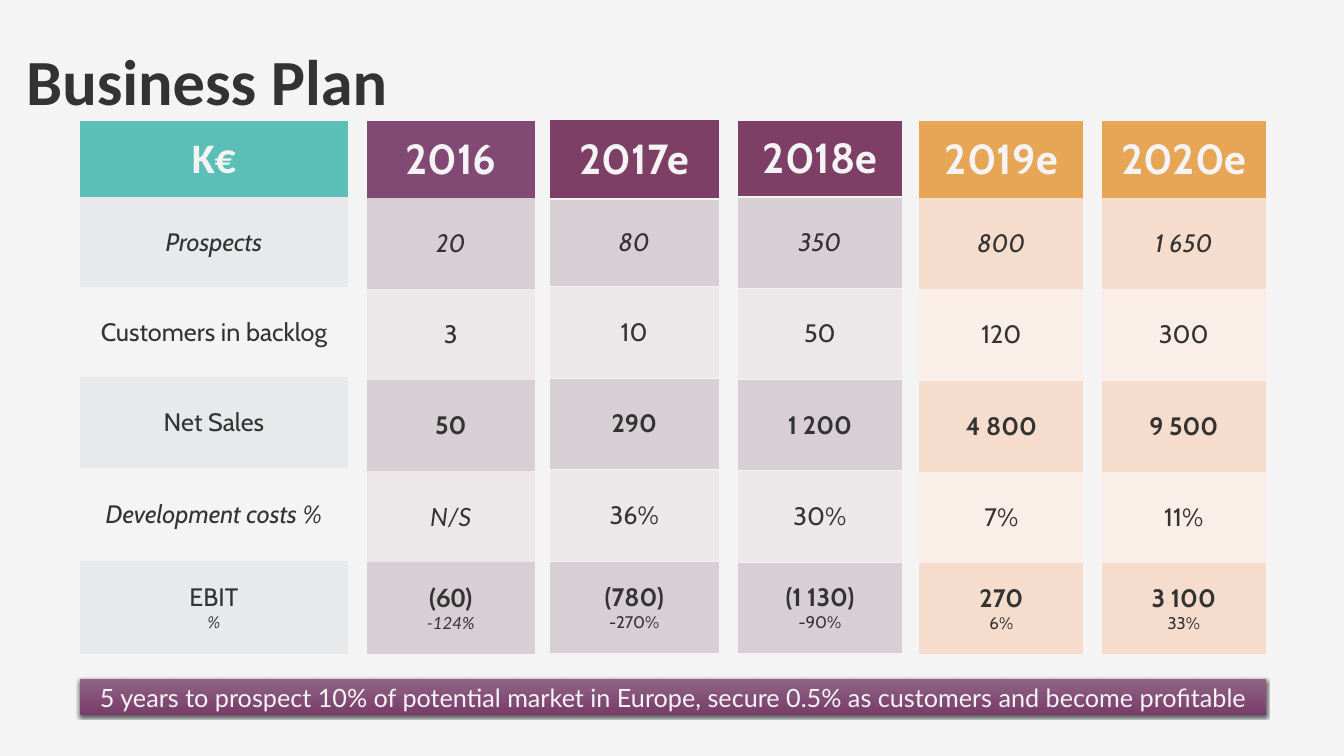
import pptx
import pptx.util
import pptx.dml.color
import pptx.enum.shapes
import pptx.enum.text
import pptx.oxml
import pptx.oxml.ns

COLORS = {
    "paper": "F4F4F4", "ink": "333333", "teal": "5BBFB7", "gray": "E8E9EA",
    "violet": "814974", "plum": "7D3F65", "mauve": "D7CFD3", "pale_mauve": "ECE8EA",
    "orange": "E7A556", "peach": "F5DCCD", "pale_peach": "FAEEE8",
    "bar_top": "906385", "bar_bottom": "783C6A",
}
TITLE = "Business Plan"
MESSAGE = ("5 years to prospect 10% of potential market in Europe, "
           "secure 0.5% as customers and become profitable")
NO_TABLE_STYLE = "{2D5ABB26-0587-4C30-8999-92F81FD0307C}"

# One style per paragraph of each body row: i = italic, b = bold
YEAR_STYLES = ["i", "", "b", "", "b", ""]
FIRST_YEAR_STYLES = ["i", "", "b", "i", "b", "i"]
LABEL_STYLES = ["i", "", "", "i", "", "i"]

# Each column is a table: heading, five rows and a small second line in the last row
COLUMNS = [
    {"texts": ["K€", "Prospects", "Customers in backlog", "Net Sales",
               "Development costs %", "EBIT", "%"],
     "left": 1.59, "top": 2.4, "width": 5.31, "heights": [1.51, 1.79, 1.79, 1.79, 1.85, 1.85],
     "fills": ("teal", "gray", "paper"), "styles": LABEL_STYLES, "heading_font": "Calibri"},
    {"texts": ["2016", "20", "3", "50", "N/S", "(60)", "-124%"],
     "left": 7.28, "top": 2.4, "width": 3.33, "heights": [1.52] + [1.81] * 5,
     "fills": ("violet", "mauve", "pale_mauve"), "styles": FIRST_YEAR_STYLES, "lato_from": 4},
    {"texts": ["2017e", "80", "10", "290", "36%", "(780)", "-270%"],
     "left": 10.9, "top": 2.36, "width": 3.37, "heights": [1.59, 1.73] + [1.82] * 4,
     "fills": ("plum", "mauve", "pale_mauve"), "bordered": True},
    {"texts": ["2018e", "350", "50", "1 200", "30%", "(1 130)", "-90%"],
     "left": 14.64, "top": 2.38, "width": 3.26, "heights": [1.53] + [1.81] * 5,
     "fills": ("plum", "mauve", "pale_mauve"), "bordered": True},
    {"texts": ["2019e", "800", "120", "4 800", "7%", "270", "6%"],
     "left": 18.24, "top": 2.4, "width": 3.26, "heights": [1.53] + [1.81] * 5,
     "fills": ("orange", "peach", "pale_peach")},
    {"texts": ["2020e", "1 650", "300", "9 500", "11%", "3 100", "33%"],
     "left": 21.86, "top": 2.4, "width": 3.26, "heights": [1.53] + [1.81] * 5,
     "fills": ("orange", "peach", "pale_peach")},
]


def rgb(name):
    return pptx.dml.color.RGBColor.from_string(COLORS[name])


def inches(*values):
    return [pptx.util.Inches(value) for value in values]


def format_text(paragraph, size, font_name, color, style="", centered=True):
    if centered:
        paragraph.alignment = pptx.enum.text.PP_ALIGN.CENTER
    for run in paragraph.runs:
        run.font.size = pptx.util.Pt(size)
        run.font.name = font_name
        run.font.color.rgb = rgb(color)
        run.font.bold = "b" in style
        run.font.italic = "i" in style


def add_borders(cell, bottom_width):
    properties = cell._tc.get_or_add_tcPr()
    widths = {"lnL": 1, "lnR": 1, "lnT": 1, "lnB": bottom_width}
    for index, (tag, width) in enumerate(widths.items()):
        properties.insert(index, pptx.oxml.parse_xml(
            f'<a:{tag} {pptx.oxml.ns.nsdecls("a")} w="{pptx.util.Pt(width)}"><a:solidFill>'
            f'<a:srgbClr val="{COLORS["paper"]}"/></a:solidFill></a:{tag}>'))


def add_column(slide, column):
    heights = column["heights"]
    frame = slide.shapes.add_table(len(heights), 1, *inches(
        column["left"], column["top"], column["width"], sum(heights)))
    table = frame.table
    table.first_row = table.horz_banding = False
    table._tbl.tblPr.find(pptx.oxml.ns.qn("a:tableStyleId")).text = NO_TABLE_STYLE
    heading_fill, dark_fill, light_fill = column["fills"]
    styles = ["b"] + column.get("styles", YEAR_STYLES)
    texts = column["texts"]
    last_row = len(heights) - 1

    for row, height in enumerate(heights):
        table.rows[row].height = pptx.util.Inches(height)
        cell = table.cell(row, 0)
        cell.vertical_anchor = pptx.enum.text.MSO_ANCHOR.MIDDLE
        cell.fill.solid()
        cell.fill.fore_color.rgb = rgb(
            heading_fill if row == 0 else dark_fill if row % 2 else light_fill)
        if column.get("bordered"):
            add_borders(cell, 3 if row == 0 else 1)

        lines = texts[row:] if row == last_row else [texts[row]]
        cell.text_frame.text = "\n".join(lines)
        font_name = "Lato" if row >= column.get("lato_from", len(heights)) else "Cabin"
        for offset, paragraph in enumerate(cell.text_frame.paragraphs):
            if row == 0:
                format_text(paragraph, 60, column.get("heading_font", "Cabin"), "paper", "b")
            else:
                format_text(paragraph, 24 if offset else 36, font_name, "ink",
                            styles[row + offset])


def add_title(slide):
    title = slide.shapes.title
    title.left, title.top, title.width, title.height = inches(0.42, 0.75, 9.02, 1.65)
    title.text_frame.text = TITLE
    title.text_frame.word_wrap = False
    title.text_frame.vertical_anchor = pptx.enum.text.MSO_ANCHOR.MIDDLE
    paragraph = title.text_frame.paragraphs[0]
    paragraph.alignment = pptx.enum.text.PP_ALIGN.LEFT
    format_text(paragraph, 92, "Calibri", "ink", "b", centered=False)


def add_message_bar(slide):
    bar = slide.shapes.add_shape(pptx.enum.shapes.MSO_SHAPE.RECTANGLE,
                                 *inches(1.59, 13.48, 23.53, 0.71))
    bar.line.fill.background()
    bar.fill.gradient()
    bar.fill.gradient_angle = 270
    for stop, color in zip(bar.fill.gradient_stops, ("bar_top", "bar_bottom")):
        stop.color.rgb = rgb(color)
    # Soft shadow just below the bar
    bar.shadow.inherit = False
    effects = bar._element.spPr.find(pptx.oxml.ns.qn("a:effectLst"))
    effects.append(pptx.oxml.parse_xml(
        f'<a:outerShdw {pptx.oxml.ns.nsdecls("a")} blurRad="{pptx.util.Pt(4.5)}" '
        f'dist="{pptx.util.Pt(1.5)}" dir="5400000" rotWithShape="0">'
        '<a:srgbClr val="000000"><a:alpha val="63000"/></a:srgbClr></a:outerShdw>'))
    bar.text_frame.text = MESSAGE
    bar.text_frame.word_wrap = True
    bar.text_frame.vertical_anchor = pptx.enum.text.MSO_ANCHOR.MIDDLE
    format_text(bar.text_frame.paragraphs[0], 36, "Lato", "paper")


def main():
    presentation = pptx.Presentation()
    presentation.slide_width, presentation.slide_height = inches(26.67, 15)
    slide = presentation.slides.add_slide(presentation.slide_layouts[5])
    slide.background.fill.solid()
    slide.background.fill.fore_color.rgb = rgb("paper")
    add_title(slide)
    for column in COLUMNS:
        add_column(slide, column)
    add_message_bar(slide)
    presentation.save("out.pptx")


if __name__ == "__main__":
    main()
